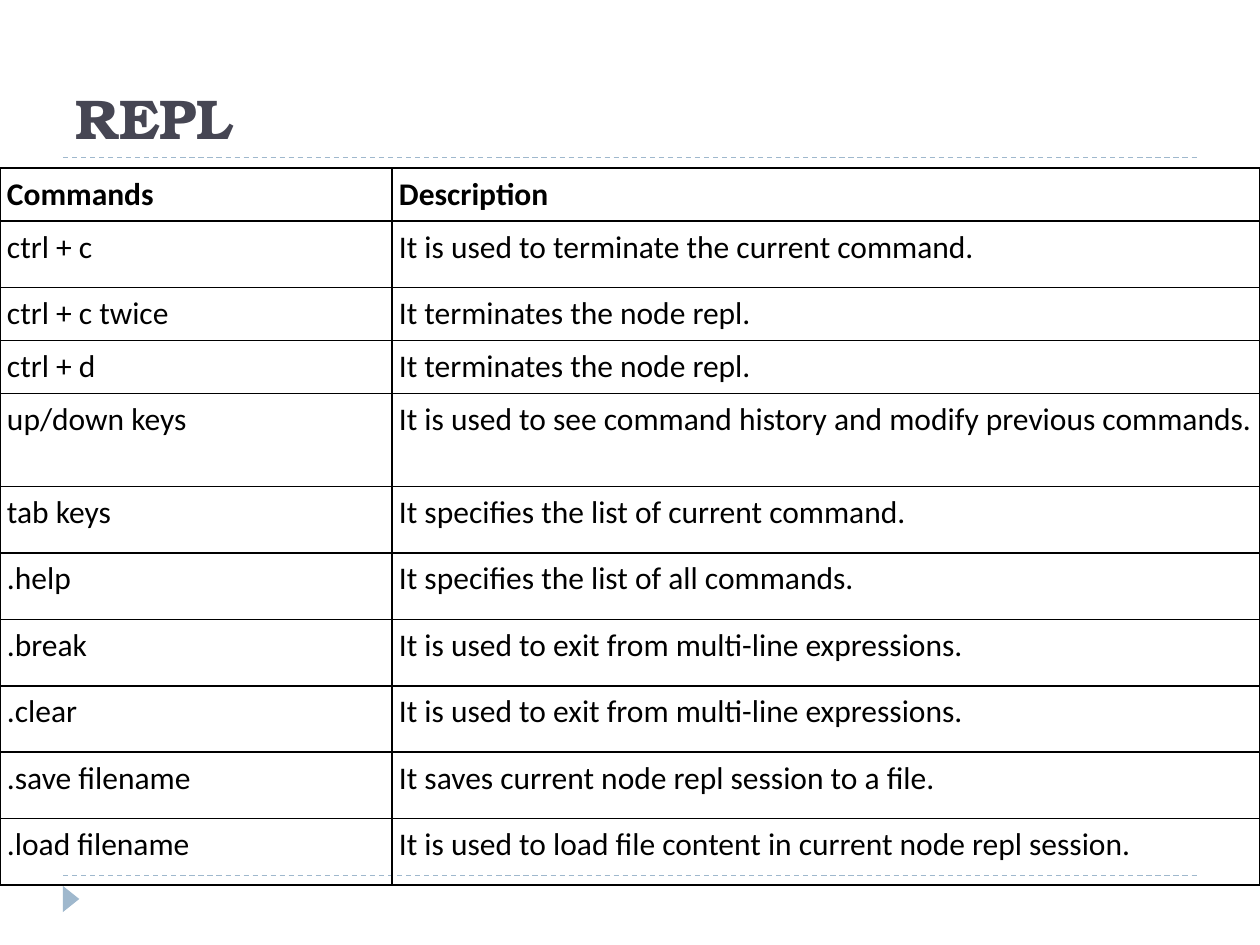
import dataclasses

import pptx
import pptx.dml.color
import pptx.enum.dml
import pptx.enum.shapes
import pptx.enum.text
import pptx.oxml
import pptx.oxml.ns
import pptx.util

Pt = pptx.util.Pt


@dataclasses.dataclass(frozen=True)
class Theme:
    title_color: str = "464653"
    accent: str = "9FB8CD"
    text: str = "000000"
    title_font: str = "TeX Gyre Bonum"
    body_font: str = "Calibri"
    title_size: float = 32
    body_size: float = 18
    rule_width: float = 0.75
    border_width: float = 1
    cell_margin: float = 4


def rgb(value):
    return pptx.dml.color.RGBColor.from_string(value)


class SlideBuilder:
    def __init__(self, slide, theme):
        self.slide = slide
        self.theme = theme

    def add_run(self, paragraph, text, font, size, color, bold):
        run = paragraph.add_run()
        run.text = text
        run.font.name = font
        run.font.size = Pt(size)
        run.font.bold = bold
        run.font.color.rgb = rgb(color)

    def dashed_rule(self, left, right, top):
        rule = self.slide.shapes.add_connector(
            pptx.enum.shapes.MSO_CONNECTOR.STRAIGHT, Pt(left), Pt(top), Pt(right), Pt(top))
        rule.line.color.rgb = rgb(self.theme.accent)
        rule.line.width = Pt(self.theme.rule_width)
        rule.line.dash_style = pptx.enum.dml.MSO_LINE.DASH
        pptx.oxml.ns.qn("a:effectLst")
        rule._element.spPr.append(pptx.oxml.parse_xml(
            f"<a:effectLst {pptx.oxml.ns.nsdecls('a')}/>"))

    def page_marker(self, left, top, width, height):
        marker = self.slide.shapes.add_shape(
            pptx.enum.shapes.MSO_SHAPE.ISOSCELES_TRIANGLE,
            Pt(left), Pt(top), Pt(width), Pt(height))
        marker.rotation = 90
        marker.shadow.inherit = False
        marker.fill.solid()
        marker.fill.fore_color.rgb = rgb(self.theme.accent)
        marker.line.fill.background()

    def title(self, text, left, top, width, height):
        shape = self.slide.shapes.title
        shape.left, shape.top = Pt(left), Pt(top)
        shape.width, shape.height = Pt(width), Pt(height)
        shape.text_frame.vertical_anchor = pptx.enum.text.MSO_ANCHOR.BOTTOM
        paragraph = shape.text_frame.paragraphs[0]
        paragraph.alignment = pptx.enum.text.PP_ALIGN.LEFT
        self.add_run(paragraph, text, self.theme.title_font, self.theme.title_size,
                     self.theme.title_color, True)

    def table(self, rows, left, top, column_widths, row_heights):
        frame = self.slide.shapes.add_table(
            len(rows), len(column_widths), Pt(left), Pt(top),
            Pt(sum(column_widths)), Pt(sum(row_heights)))
        table = frame.table
        table.horz_banding = False
        for column, width in zip(table.columns, column_widths):
            column.width = Pt(width)
        for row_index, (texts, height) in enumerate(zip(rows, row_heights)):
            table.rows[row_index].height = Pt(height)
            for column_index, text in enumerate(texts):
                self.table_cell(table.cell(row_index, column_index), text, row_index == 0)

    def table_cell(self, cell, text, bold):
        margin = Pt(self.theme.cell_margin)
        cell.margin_left = cell.margin_right = margin
        cell.margin_top = cell.margin_bottom = margin
        paragraph = cell.text_frame.paragraphs[0]
        paragraph.alignment = pptx.enum.text.PP_ALIGN.JUSTIFY
        self.add_run(paragraph, text, self.theme.body_font, self.theme.body_size,
                     self.theme.text, bold)
        # Borders must come before the fill in the cell properties
        properties = cell._tc.get_or_add_tcPr()
        for side in ("lnL", "lnR", "lnT", "lnB"):
            properties.append(pptx.oxml.parse_xml(
                f'<a:{side} {pptx.oxml.ns.nsdecls("a")} w="{Pt(self.theme.border_width)}">'
                f'<a:solidFill><a:srgbClr val="{self.theme.text}"/></a:solidFill></a:{side}>'))
        cell.fill.background()


COMMANDS = [
    ("Commands", "Description"),
    ("ctrl + c", "It is used to terminate the current command."),
    ("ctrl + c twice", "It terminates the node repl."),
    ("ctrl + d", "It terminates the node repl."),
    ("up/down keys", "It is used to see command history and modify previous commands."),
    ("tab keys", "It specifies the list of current command."),
    (".help", "It specifies the list of all commands."),
    (".break", "It is used to exit from multi-line expressions."),
    (".clear", "It is used to exit from multi-line expressions."),
    (".save filename", "It saves current node repl session to a file."),
    (".load filename", "It is used to load file content in current node repl session."),
]


def main():
    presentation = pptx.Presentation()
    presentation.slide_width, presentation.slide_height = Pt(720), Pt(540)
    slide = presentation.slides.add_slide(presentation.slide_layouts[5])
    builder = SlideBuilder(slide, Theme())

    # Rules and page marker
    for top in (500.4, 90):
        builder.dashed_rule(36, 684, top)
    builder.page_marker(33.1, 509, 15, 9.4)

    # Title
    builder.title("REPL", 36, 12, 648, 78)

    # Command table
    compact, regular, tall = 30.3, 38, 53.1
    row_heights = [compact, regular, compact, compact, tall] + [regular] * 6
    builder.table(COMMANDS, 0, 96, (224, 496), row_heights)

    presentation.save("out.pptx")


if __name__ == "__main__":
    main()
